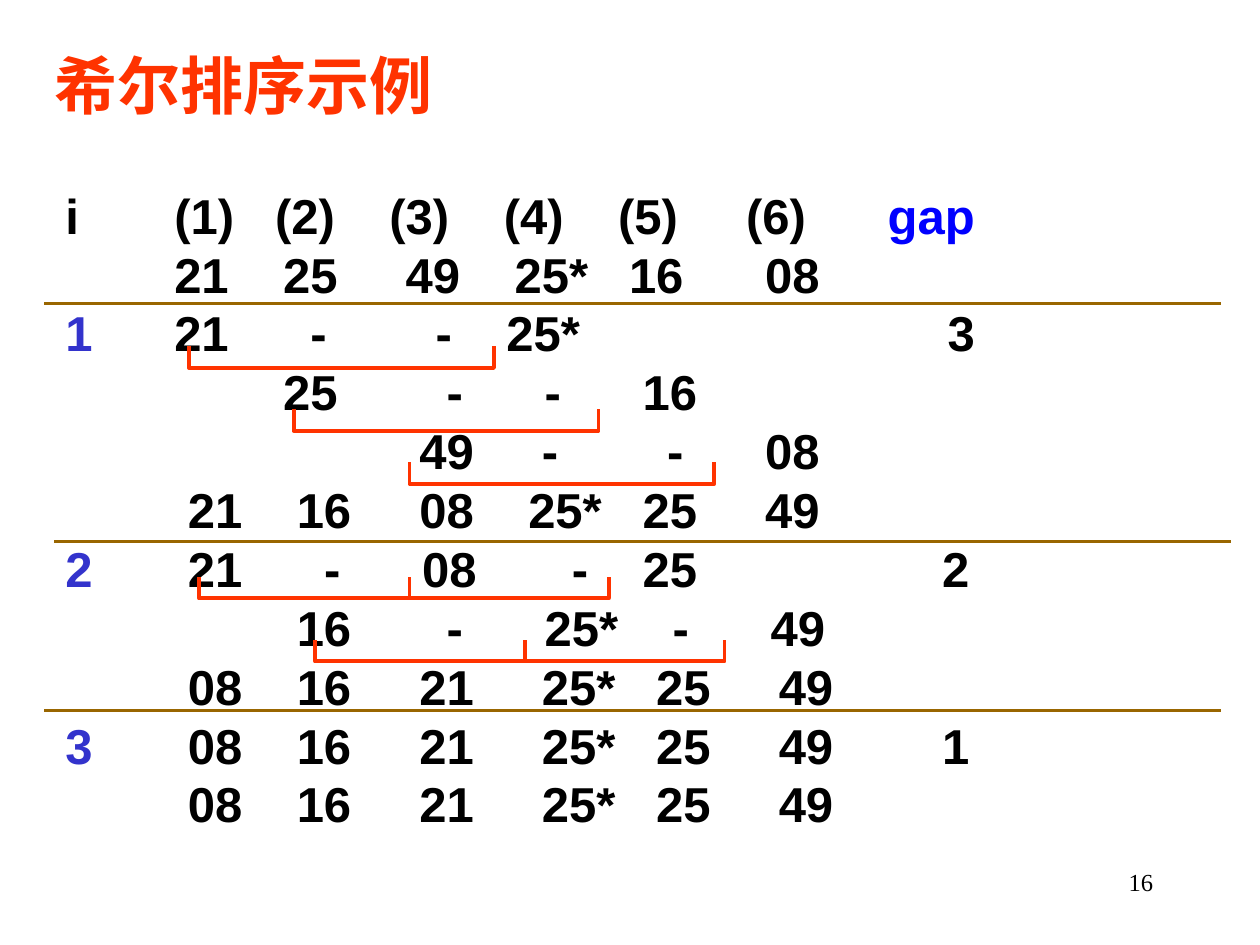
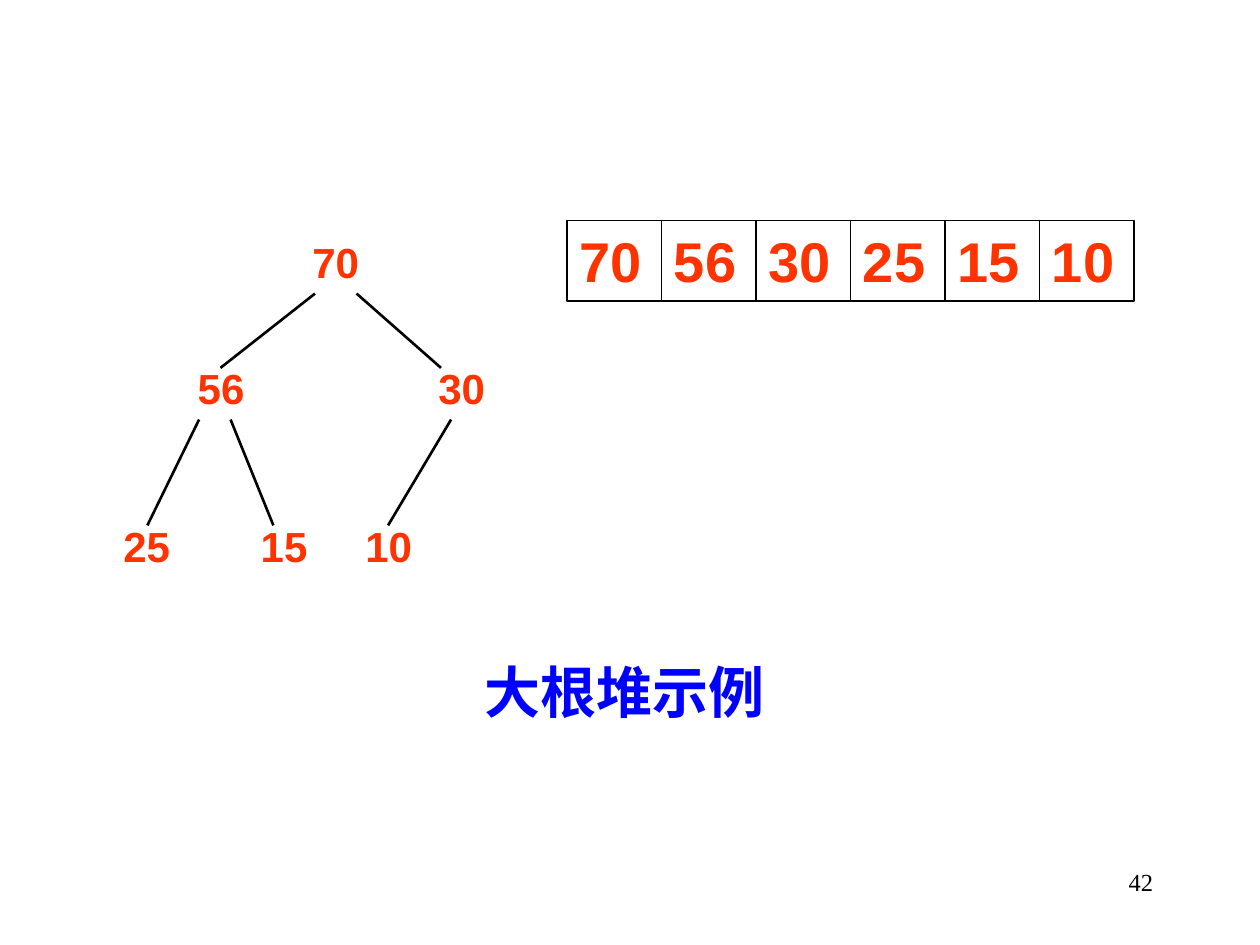
from collections import namedtuple
from dataclasses import dataclass

import pptx
import pptx.dml.color
import pptx.enum.shapes
import pptx.enum.text
import pptx.util
from lxml import etree
from pptx.oxml.ns import qn

Inches, Pt = pptx.util.Inches, pptx.util.Pt
RGB = pptx.dml.color.RGBColor.from_string
ALIGN = pptx.enum.text.PP_ALIGN
ANCHOR = pptx.enum.text.MSO_ANCHOR
STRAIGHT = pptx.enum.shapes.MSO_CONNECTOR.STRAIGHT
RECTANGLE = pptx.enum.shapes.MSO_SHAPE.RECTANGLE

Box = namedtuple("Box", "x y w h")


@dataclass(frozen=True)
class Theme:
    accent: str = "FF3300"
    caption: str = "0000FF"
    step: str = "3333CC"
    rule: str = "996600"
    ink: str = "000000"
    font: str = "Arial"
    number_font: str = "Times New Roman"
    title_size: int = 36
    cell_size: int = 32
    trace_size: int = 28
    node_size: int = 24
    number_size: int = 14
    trace_pitch: float = 33.66


T = Theme()

# Half the width of a digit at the trace size, in points: the unit of the tab stops
UNIT = 7.78

# Each row: label, label colour, then (tab stop in units, entry)
SORTED_ROW = [(9, "08"), (17, "16"), (26, "21"), (35, "25*"), (43.4, "25"), (52.4, "49")]
TRACE = [
    ("i", T.ink, [(8, "(1)"), (15.4, "(2)"), (23.8, "(3)"), (32.2, "(4)"),
                  (40.6, "(5)"), (50, "(6)"), (60.4, "gap")]),
    ("", T.ink, [(8, "21"), (16, "25"), (25, "49"), (33, "25*"), (41.4, "16"), (51.4, "08")]),
    ("1", T.step, [(8, "21"), (18, "-"), (27.2, "-"), (32.4, "25*"), (64.8, "3")]),
    ("", T.ink, [(16, "25"), (28, "-"), (35.2, "-"), (42.4, "16")]),
    ("", T.ink, [(26, "49"), (35, "-"), (44.2, "-"), (51.4, "08")]),
    ("", T.ink, [(9, "21"), (17, "16"), (26, "08"), (34, "25*"), (42.4, "25"), (51.4, "49")]),
    ("2", T.step, [(9, "21"), (19, "-"), (26.2, "08"), (37.2, "-"), (42.4, "25"), (64.4, "2")]),
    ("", T.ink, [(17, "16"), (28, "-"), (35.2, "25*"), (44.6, "-"), (51.8, "49")]),
    ("", T.ink, SORTED_ROW),
    ("3", T.step, SORTED_ROW + [(64.4, "1")]),
    ("", T.ink, SORTED_ROW),
]
# Offsets in the trace box: x, y, width, x of the middle tick
BRACKETS = [(1.08, 1.33, 2.42, None), (1.91, 1.83, 2.42, None), (2.83, 2.25, 2.42, None),
            (1.16, 3.16, 3.25, 1.67), (2.08, 3.66, 3.25, 1.67)]
BRACKET_DEPTH = 0.17
RULES = [(-0.07, 0.99), (0.01, 2.88), (-0.07, 4.22)]
RULE_LENGTH = 9.34

# Offsets in the tree box
NODES = [("70", 1.5, 0), ("56", 0.59, 1), ("30", 2.5, 1),
         ("25", 0, 2.25), ("15", 1.09, 2.25), ("10", 1.92, 2.25)]
EDGES = [(1.67, 0.5, 0.92, 1.09), (2, 0.5, 2.67, 1.09), (0.75, 1.5, 0.34, 2.34),
         (1, 1.5, 1.34, 2.34), (2.75, 1.5, 2.25, 2.34)]


# Shared helpers
def inches(*lengths):
    return [Inches(n) for n in lengths]


def style(font, size, color, name=T.font, bold=True):
    font.name, font.size, font.bold = name, Pt(size), bold
    font.color.rgb = RGB(color)


def write(sp, text, size, color, name=T.font, bold=True, align=ALIGN.LEFT, anchor=ANCHOR.TOP):
    tf = sp.text_frame
    tf.word_wrap, tf.vertical_anchor = True, anchor
    p = tf.paragraphs[0]
    p.text, p.alignment = text, align
    style(p.font, size, color, name, bold)
    return p


def add_text(s, box, text, size, color, **options):
    sp = s.shapes.add_textbox(*inches(*box))
    return write(sp, text, size, color, **options)


def add_line(shapes, x1, y1, x2, y2, color, width):
    line = shapes.add_connector(STRAIGHT, *inches(x1, y1, x2, y2))
    line.line.color.rgb, line.line.width = RGB(color), Pt(width)
    etree.SubElement(line._element.spPr, qn("a:effectLst"))


def add_page_number(s, number):
    add_text(s, Box(7.17, 6.83, 2.08, 0.5), number, T.number_size, T.ink,
             name=T.number_font, bold=False, align=ALIGN.RIGHT)


# Shell sort slide
def set_tabs(p, stops):
    tabs = etree.SubElement(p._p.get_or_add_pPr(), qn("a:tabLst"))
    for stop in stops:
        etree.SubElement(tabs, qn("a:tab"), pos=str(int(Pt(stop * UNIT))), algn="l")


def add_trace(s, box):
    tf = s.shapes.add_textbox(*inches(*box)).text_frame
    tf.word_wrap = True
    for i, (label, label_color, entries) in enumerate(TRACE):
        p = tf.paragraphs[0] if i == 0 else tf.add_paragraph()
        p.line_spacing = Pt(T.trace_pitch)
        set_tabs(p, [stop for stop, _ in entries])
        style(p.font, T.trace_size, T.ink)
        parts = [(label, label_color)] if label else []
        parts += [("\t" + entry, T.caption if entry == "gap" else T.ink) for _, entry in entries]
        for text, color in parts:
            r = p.add_run()
            r.text = text
            r.font.color.rgb = RGB(color)


def add_bracket(s, x, y, width, tick):
    shapes = s.shapes if tick is None else s.shapes.add_group_shape().shapes
    bottom = y + BRACKET_DEPTH
    outline = shapes.build_freeform(*inches(x, y))
    corners = [(x, bottom), (x + width, bottom), (x + width, y)]
    outline.add_line_segments([inches(*c) for c in corners], close=False)
    sp = outline.convert_to_shape()
    sp.shadow.inherit = False
    sp.fill.background()
    sp.line.color.rgb, sp.line.width = RGB(T.accent), Pt(2.25)
    if tick is not None:
        add_line(shapes, x + tick, bottom, x + tick, y, T.accent, 2.25)


def shell_sort_slide(prs):
    s = prs.slides.add_slide(prs.slide_layouts[5])
    title = s.shapes.title
    title.left, title.top, title.width, title.height = inches(0.33, 0.17, 7.67, 1)
    write(title, "希尔排序示例", T.title_size, T.accent, anchor=ANCHOR.MIDDLE)
    box = Box(0.42, 1.42, 8.92, 5.33)
    add_trace(s, box)
    for x, y, width, tick in BRACKETS:
        add_bracket(s, box.x + x, box.y + y, width, tick)
    for x, y in RULES:
        left, top = box.x + x, box.y + y
        add_line(s.shapes, left, top, left + RULE_LENGTH, top, T.rule, 1.5)
    add_page_number(s, "16")


# Max-heap slide
def add_tree(s, box):
    for value, x, y in NODES:
        p = add_text(s, Box(box.x + x, box.y + y, 0.67, 0.5), value,
                     T.node_size, T.accent, align=ALIGN.CENTER)
        p.space_before = Pt(15)
    for x1, y1, x2, y2 in EDGES:
        add_line(s.shapes, box.x + x1, box.y + y1, box.x + x2, box.y + y2, T.ink, 1.5)


def add_array(s, box):
    width = box.w / len(NODES)
    for i, (value, *_) in enumerate(NODES):
        cell = s.shapes.add_shape(RECTANGLE, *inches(box.x + i * width, box.y, width, box.h))
        cell.shadow.inherit = False
        cell.fill.background()
        cell.line.color.rgb, cell.line.width = RGB(T.ink), Pt(0.75)
        write(cell, value, T.cell_size, T.accent).space_before = Pt(20)


def max_heap_slide(prs):
    s = prs.slides.add_slide(prs.slide_layouts[6])
    add_tree(s, Box(0.83, 1.83, 3.17, 2.75))
    add_array(s, Box(4.5, 1.75, 4.5, 0.64))
    p = add_text(s, Box(3.75, 5.17, 2.58, 0.64), "大根堆示例", T.cell_size, T.caption)
    p.space_before = Pt(20)
    add_page_number(s, "42")


def main():
    prs = pptx.Presentation()
    prs.slide_width, prs.slide_height = inches(10, 7.5)
    shell_sort_slide(prs)
    max_heap_slide(prs)
    prs.save("out.pptx")


if __name__ == "__main__":
    main()
